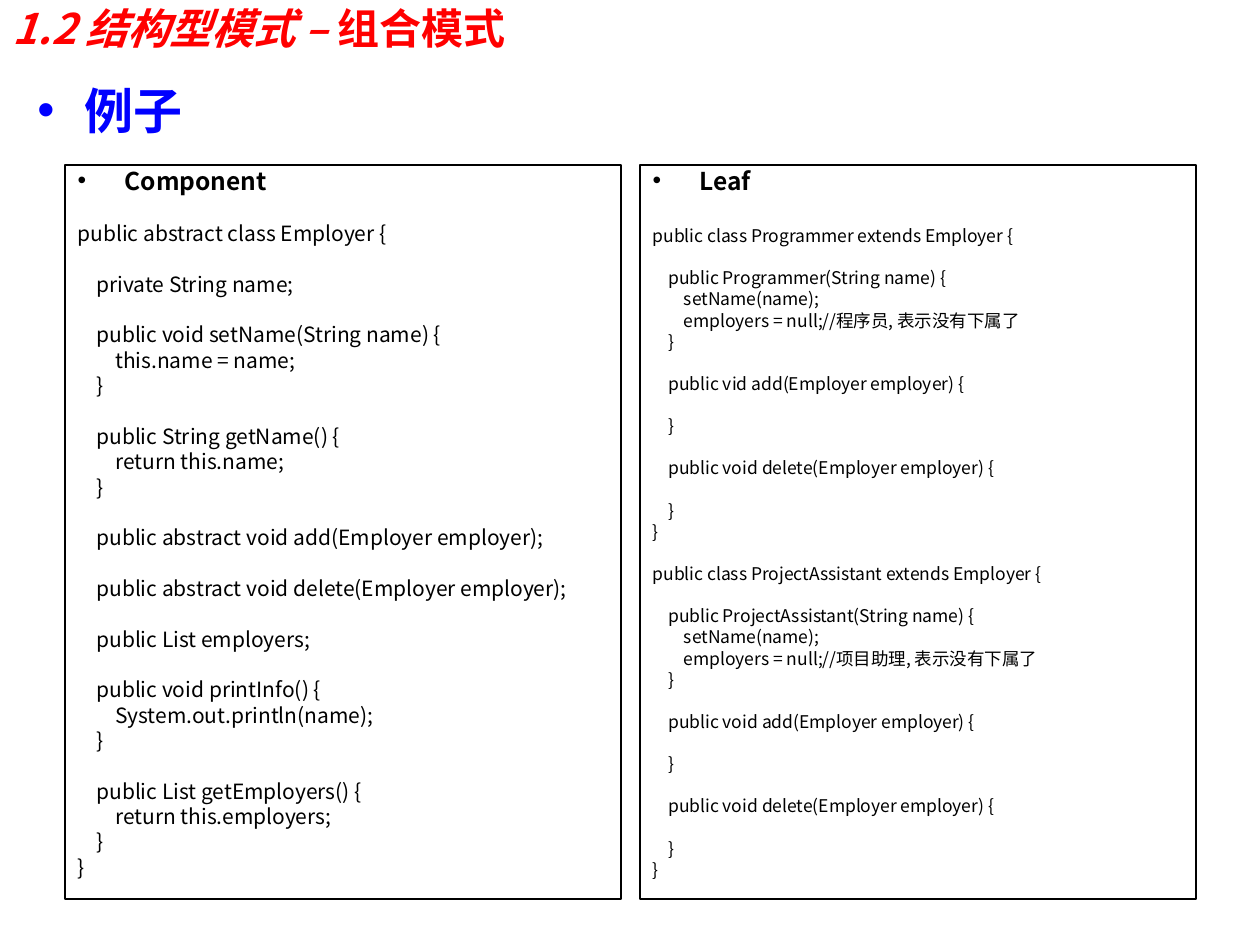
from lxml.etree import SubElement
from pptx import Presentation
from pptx.dml.color import RGBColor
from pptx.enum.text import MSO_ANCHOR, MSO_AUTO_SIZE, PP_ALIGN
from pptx.oxml.ns import qn
from pptx.util import Emu, Pt

SCALE = 914400 / 126
COLORS = {"title": "FF0000", "topic": "0000FF", "ink": "000000"}
CJK, LATIN = "Noto Sans CJK SC", "Calibri"
HANGING = 47
LINE_SPACING = 0.8
LINE_HEIGHT = 1.19

COMPONENT_CODE = """public abstract class Employer {

    private String name;

    public void setName(String name) {
        this.name = name;
    }

    public String getName() {
        return this.name;
    }

    public abstract void add(Employer employer);

    public abstract void delete(Employer employer);

    public List employers;

    public void printInfo() {
        System.out.println(name);
    }

    public List getEmployers() {
        return this.employers;
    }
}"""

LEAF_CODE = """public class Programmer extends Employer {

    public Programmer(String name) {
        setName(name);
        employers = null;//程序员, 表示没有下属了
    }

    public vid add(Employer employer) {

    }

    public void delete(Employer employer) {

    }
}

public class ProjectAssistant extends Employer {

    public ProjectAssistant(String name) {
        setName(name);
        employers = null;//项目助理, 表示没有下属了
    }

    public void add(Employer employer) {

    }

    public void delete(Employer employer) {

    }
}"""


def px(length):
    return Emu(round(length * SCALE))


def add_text(paragraph, text, *, size, color, font=CJK, bold=False, italic=False):
    run = paragraph.add_run()
    run.text = text
    run.font.size = Pt(size)
    run.font.name = font
    run.font.bold = bold
    run.font.italic = italic
    run.font.color.rgb = RGBColor.from_string(COLORS[color])
    SubElement(run.font._element, qn("a:ea"), typeface=CJK)


class SlideBuilder:
    """Holds the slide and its style, and adds each kind of element."""

    def __init__(self, slide):
        self.slide = slide

    def place(self, shape, left, top, width, height):
        shape.left, shape.top = px(left), px(top)
        shape.width, shape.height = px(width), px(height)
        frame = shape.text_frame
        frame.word_wrap = True
        frame.auto_size = MSO_AUTO_SIZE.NONE
        return frame

    def format_paragraph(self, paragraph, bullet_color=None):
        properties = paragraph._p.get_or_add_pPr()
        properties.set("marL", str(px(HANGING)))
        properties.set("indent", str(-px(HANGING)))
        if bullet_color:
            tint = SubElement(properties, qn("a:buClr"))
            SubElement(tint, qn("a:srgbClr"), val=COLORS[bullet_color])
            SubElement(properties, qn("a:buFont"), typeface="Arial")
            SubElement(properties, qn("a:buChar"), char="•")
        else:
            SubElement(properties, qn("a:buNone"))
        paragraph.line_spacing = LINE_SPACING
        paragraph.space_before = Pt(0)

    def title(self, box, category, pattern):
        frame = self.place(self.slide.shapes.title, *box)
        frame.vertical_anchor = MSO_ANCHOR.MIDDLE
        heading = frame.paragraphs[0]
        heading.alignment = PP_ALIGN.LEFT
        style = dict(size=24, color="title", bold=True)
        add_text(heading, category, italic=True, **style)
        add_text(heading, pattern, font=LATIN, **style)

    def topic(self, box, text):
        frame = self.place(self.slide.shapes.add_textbox(0, 0, 0, 0), *box)
        topic = frame.paragraphs[0]
        self.format_paragraph(topic, "topic")
        add_text(topic, text, size=28, color="topic", font=LATIN, bold=True)

    def code_panel(self, index, box, heading, code, size, heading_gap):
        panel = self.slide.placeholders[index]
        frame = self.place(panel, *box)
        panel.line.color.rgb = RGBColor.from_string(COLORS["ink"])
        panel.line.width = Pt(0.75)
        role = frame.paragraphs[0]
        self.format_paragraph(role, "ink")
        add_text(role, heading, size=14, color="ink", bold=True)

        line_gap = size / 4
        blank_line = size * LINE_HEIGHT * LINE_SPACING + line_gap
        gap = heading_gap
        for code_line in code.splitlines():
            if not code_line:
                gap = line_gap + blank_line
                continue
            paragraph = frame.add_paragraph()
            self.format_paragraph(paragraph)
            paragraph.space_before = Pt(round(gap, 2))
            add_text(paragraph, code_line, size=size, color="ink")
            gap = line_gap


def main():
    deck = Presentation()
    deck.slide_width, deck.slide_height = px(1260), px(945)
    builder = SlideBuilder(deck.slides.add_slide(deck.slide_layouts[3]))
    builder.title((0, 0, 1134, 55), "1.2 结构型模式 – ", "组合模式")
    builder.topic((25, 86, 446, 131), "例子")
    panels = [
        ("Component", COMPONENT_CODE, 12, 17.5),
        ("Leaf", LEAF_CODE, 10, 19.6),
    ]
    for column, panel in enumerate(panels):
        builder.code_panel(column + 1, (65 + 575 * column, 165, 556, 734), *panel)
    deck.save("out.pptx")


if __name__ == "__main__":
    main()
